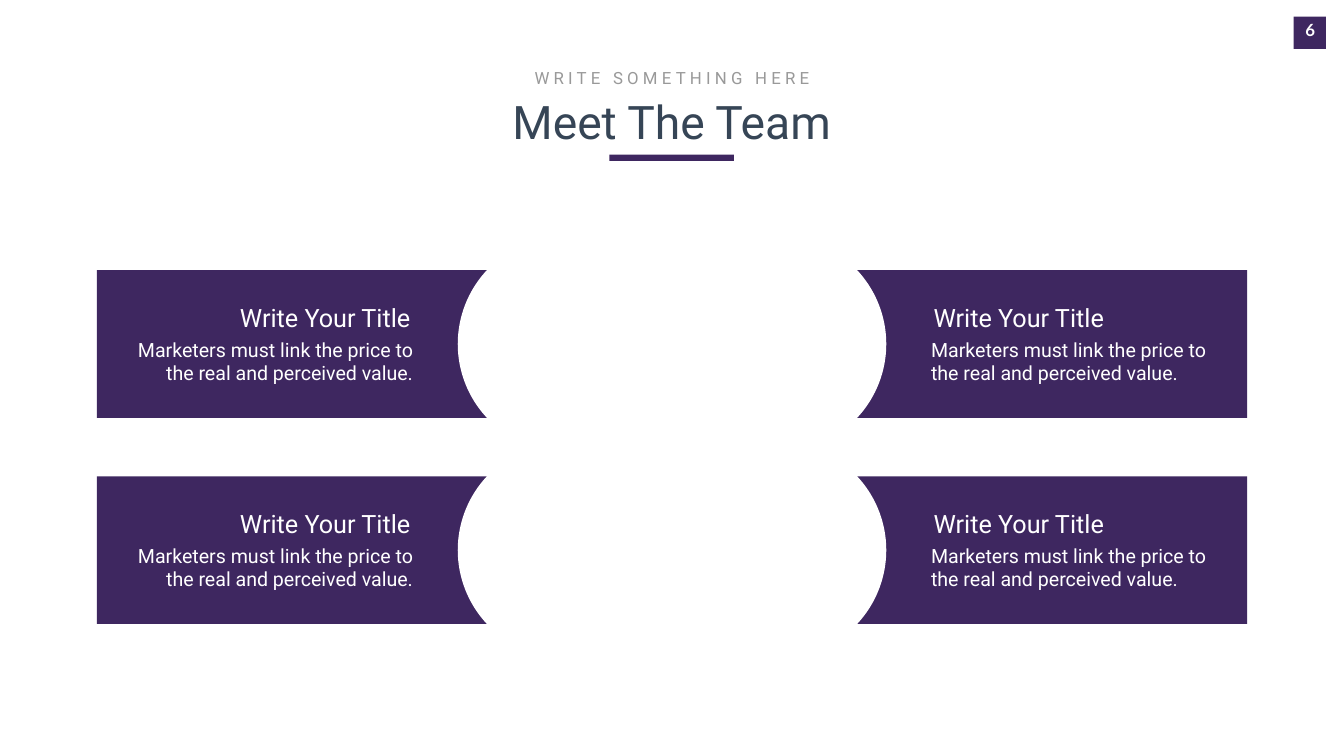
from pptx import Presentation
from pptx.dml.color import RGBColor
from pptx.enum.shapes import MSO_SHAPE as Shape
from pptx.enum.text import MSO_ANCHOR as Anchor, MSO_AUTO_SIZE as AutoSize, PP_ALIGN as Align
from pptx.util import Inches, Pt

PURPLE = RGBColor(0x3E, 0x27, 0x60)
SLATE = RGBColor(0x36, 0x45, 0x56)
GRAY = RGBColor(0x99, 0x99, 0x99)
WHITE = RGBColor(0xFF, 0xFF, 0xFF)

CARD_WIDTH, CARD_HEIGHT = 9.71, 2.93
CARD_LEFT, CARD_RIGHT = 1.92, 15.03
CARD_TOPS = (5.36, 9.45)
CIRCLE_SIZE = 4.29
CARD_TITLE = "Write Your Title"
CARD_BODY = "Marketers must link the price to the real and perceived value."


def add_filled(slide, kind, left, top, width, height, color):
    shape = slide.shapes.add_shape(
        kind, Inches(left), Inches(top), Inches(width), Inches(height))
    shape.shadow.inherit = False
    shape.fill.solid()
    shape.fill.fore_color.rgb = color
    shape.line.fill.background()


def write(shape, text, size, color, align, font_name="Roboto"):
    """Fill a text box or placeholder with one formatted paragraph."""
    frame = shape.text_frame
    frame.text = text
    frame.word_wrap = True
    frame.auto_size = AutoSize.NONE
    frame.vertical_anchor = Anchor.TOP
    paragraph = frame.paragraphs[0]
    paragraph.alignment = align
    font = paragraph.font
    font.name, font.size, font.color.rgb = font_name, Pt(size), color
    return paragraph


def add_text(slide, left, top, width, height, *style):
    box = slide.shapes.add_textbox(
        Inches(left), Inches(top), Inches(width), Inches(height))
    return write(box, *style)


def add_header(slide, left, top, width):
    title = slide.shapes.title
    title.left, title.top = Inches(left), Inches(top + 0.51)
    title.width, title.height = Inches(width), Inches(1.21)
    write(title, "Meet The Team", 66, SLATE, Align.CENTER)

    tagline = add_text(slide, left + 2.98, top, 5.96, 0.5,
                       "WRITE SOMETHING HERE", 24, GRAY, Align.CENTER)
    tagline.runs[0].font._element.set("spc", "600")

    rule_width = 2.47
    add_filled(slide, Shape.RECTANGLE, left + (width - rule_width) / 2,
               top + 1.77, rule_width, 0.12, PURPLE)


def add_page_number(slide, left, top, size):
    add_filled(slide, Shape.RECTANGLE, left, top, size, size, PURPLE)
    number = add_text(slide, left - 0.06, top + 0.02, 0.78, 0.61,
                      "6", 24, WHITE, Align.CENTER, "Lato")
    number.font.bold = True


def add_card(slide, left, top, mirrored):
    """Draw a bar with a round notch on its inner side, left if mirrored."""
    align = Align.LEFT if mirrored else Align.RIGHT

    def place(offset, width):
        return left + (CARD_WIDTH - offset - width if mirrored else offset)

    add_filled(slide, Shape.RECTANGLE, left, top, CARD_WIDTH, CARD_HEIGHT, PURPLE)
    add_filled(slide, Shape.OVAL, place(7.16, CIRCLE_SIZE),
               top + (CARD_HEIGHT - CIRCLE_SIZE) / 2, CIRCLE_SIZE, CIRCLE_SIZE, WHITE)
    add_text(slide, place(1.62, 4.7), top + 0.59, 4.7, 0.71,
             CARD_TITLE, 36, WHITE, align)
    add_text(slide, place(0.57, 5.8), top + 1.29, 5.8, 1.04,
             CARD_BODY, 28, WHITE, align)


def main():
    presentation = Presentation()
    presentation.slide_width = Inches(26.66)
    presentation.slide_height = Inches(15)
    slide = presentation.slides.add_slide(presentation.slide_layouts[5])

    add_page_number(slide, 25.66, 0.33, 0.64)
    add_header(slide, 7.37, 1.3, 11.91)
    for top in CARD_TOPS:
        add_card(slide, CARD_LEFT, top, mirrored=False)
        add_card(slide, CARD_RIGHT, top, mirrored=True)

    presentation.save("out.pptx")


if __name__ == "__main__":
    main()
